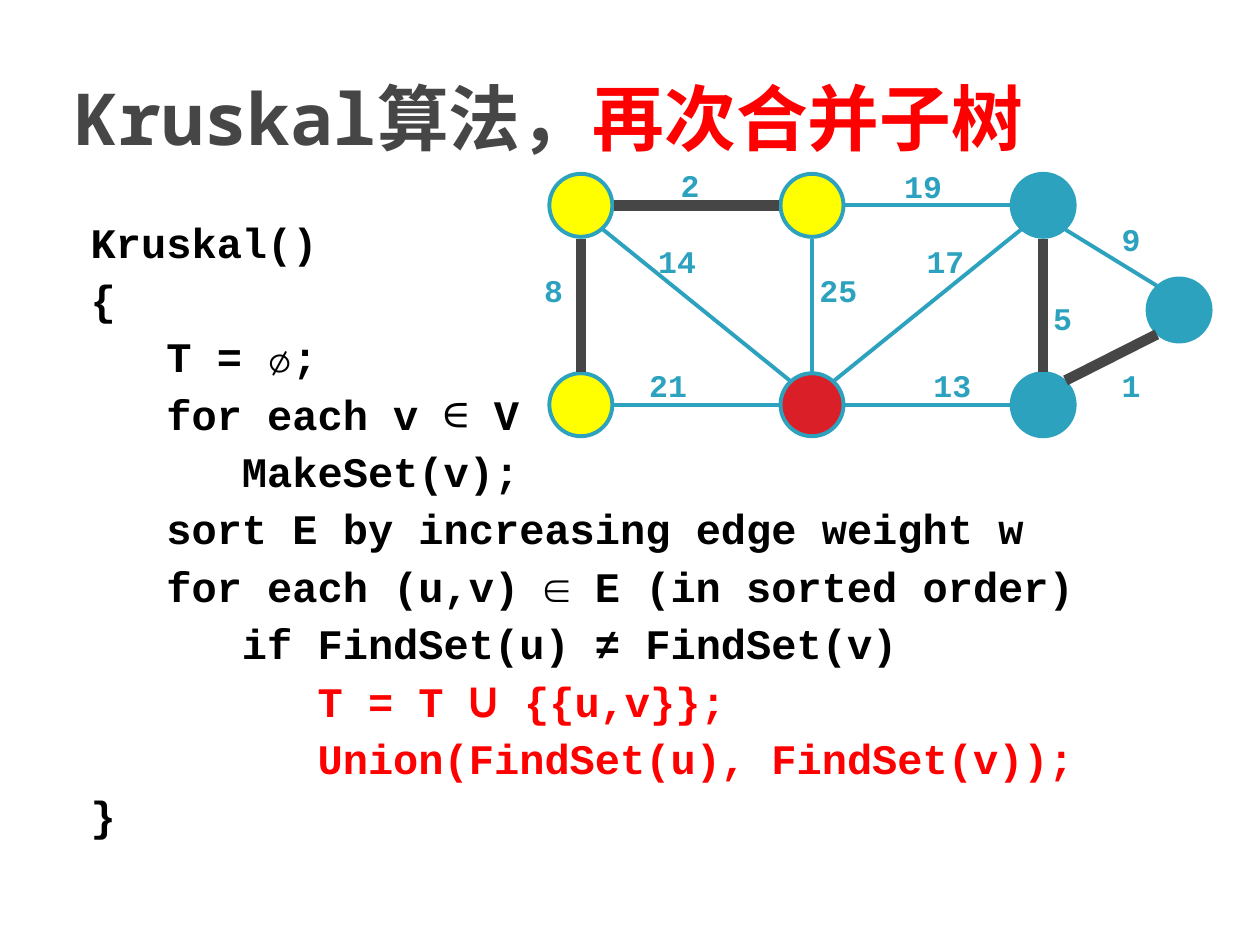
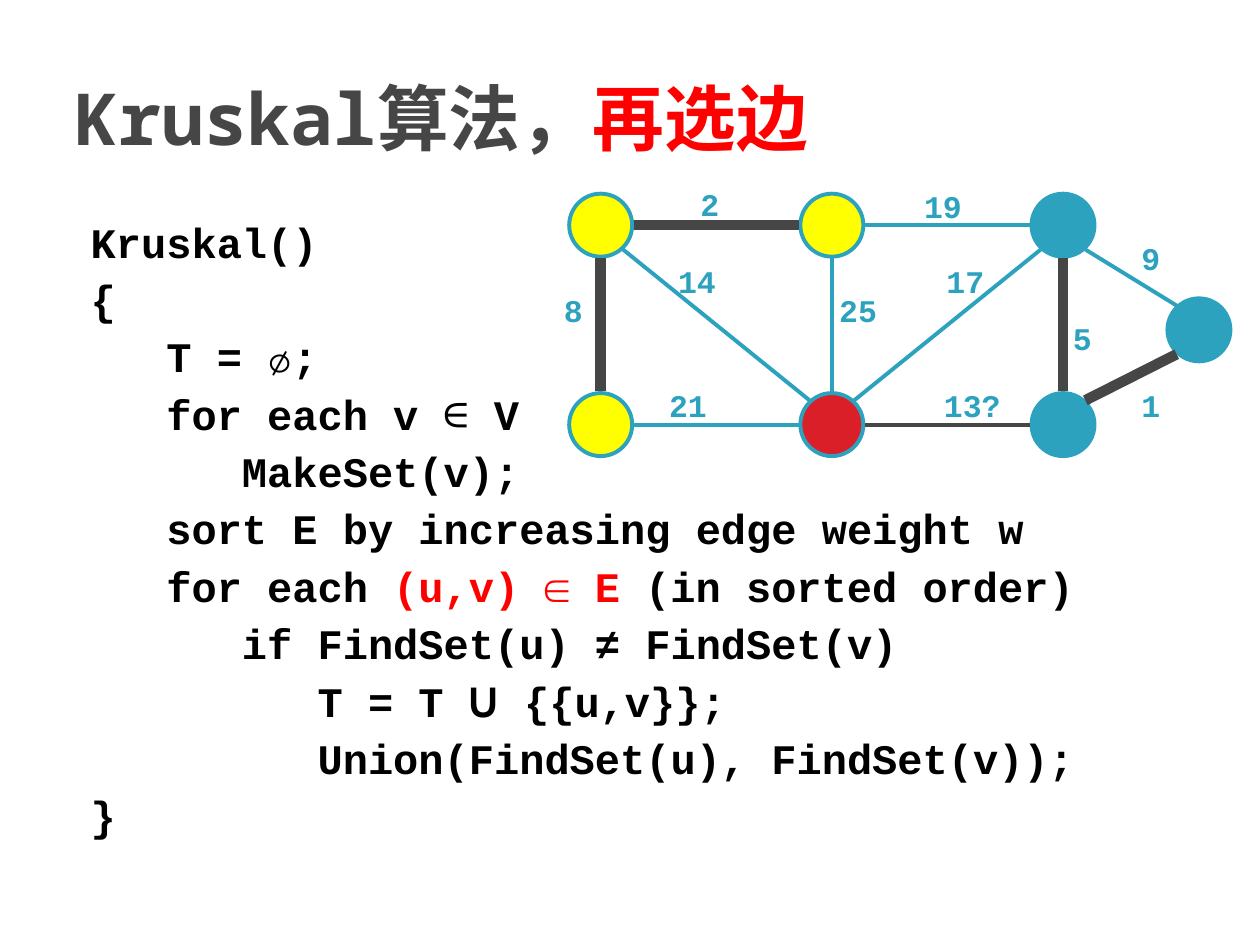
from pptx import Presentation
from pptx.dml.color import RGBColor
from pptx.enum.shapes import MSO_CONNECTOR, MSO_SHAPE
from pptx.enum.text import MSO_ANCHOR, MSO_AUTO_SIZE, PP_ALIGN
from pptx.oxml.ns import qn
from pptx.util import Cm, Pt
from lxml.etree import SubElement

BLACK = RGBColor(0x00, 0x00, 0x00)
RED = RGBColor(0xFF, 0x00, 0x00)
GREY = RGBColor(0x46, 0x46, 0x46)
TEAL = RGBColor(0x2D, 0xA2, 0xBF)
GOLD = RGBColor(0xFF, 0xFF, 0x00)
ROSE = RGBColor(0xDA, 0x1F, 0x28)

CODE = "Courier New"
MONO = "Noto Sans Mono"
UNION = "Cabin"
THIN, THICK = 2.25, 6

# Graph geometry in cm, before the shift of a slide
SIZE = 1.27
COLS = [11.71 + 4.66 * i for i in range(3)]
TOP, LOW = 4.14, 8.16
GAP = 0.67            # node centre to the end of a level or upright edge
SLANT = (0.45, 0.49)  # the same for a slanted edge

NODES = {
    "a": (COLS[0], TOP, GOLD),
    "b": (COLS[1], TOP, GOLD),
    "c": (COLS[2], TOP, TEAL),
    "d": (COLS[2], LOW, TEAL),
    "e": (23.77, 6.25, TEAL),
    "f": (COLS[1], LOW, ROSE),
    "g": (COLS[0], LOW, GOLD),
}
# Edge: two nodes, weight, centre of the weight label
EDGES = [
    ("a", "b", "2", 13.91, 3.72),
    ("b", "c", "19", 18.61, 3.75),
    ("c", "f", "17", 19.06, 5.27),
    ("f", "g", "21", 13.47, 7.76),
    ("g", "a", "8", 11.16, 5.85),
    ("a", "f", "14", 13.65, 5.27),
    ("f", "b", "25", 16.9, 5.85),
    ("f", "d", "13", 19.2, 7.76),
    ("d", "c", "5", 21.42, 6.41),
    ("c", "e", "9", 22.8, 4.81),
    ("d", "e", "1", 22.8, 7.76),
]
TREE = {"1", "2", "5", "8"}


def add_run(para, text, size, color, font=CODE, bold=True):
    run = para.add_run()
    run.text = text
    run.font.size = Pt(size)
    run.font.name = font
    run.font.bold = bold
    run.font.color.rgb = color


def add_title(slide, lead, topic):
    title = slide.shapes.title
    title.left, title.top = Cm(1.27), Cm(0.76)
    title.width, title.height = Cm(22.86), Cm(3.18)
    frame = title.text_frame
    frame.auto_size = MSO_AUTO_SIZE.NONE
    frame.vertical_anchor = MSO_ANCHOR.MIDDLE
    para = frame.paragraphs[0]
    para.alignment = PP_ALIGN.LEFT
    add_run(para, lead, 41, GREY, MONO)
    add_run(para, topic, 41, RED, MONO)


def add_code(slide, pick, merge):
    """pick colours the chosen edge, merge the two lines that join trees."""
    lines = [
        [("Kruskal()", BLACK)],
        [("{", BLACK)],
        [("   T = ∅;", BLACK)],
        [("   for each v ", BLACK), ("∈", BLACK, MONO, False), (" V", BLACK)],
        [("      MakeSet(v);", BLACK)],
        [("   sort E by increasing edge weight w", BLACK)],
        [("   for each ", BLACK), ("(u,v) ∈ E ", pick),
         ("(in sorted order)", BLACK)],
        [("      if FindSet(u) ≠ FindSet(v)", BLACK)],
        [("         T = T ", merge), ("U", merge, UNION),
         (" {{u,v}};", merge)],
        [("         Union(FindSet(u), FindSet(v));", merge)],
        [("}", BLACK)],
    ]
    box = slide.shapes.add_textbox(Cm(1.27), Cm(4.23), Cm(22.86), Cm(12.57))
    frame = box.text_frame
    frame.word_wrap = True
    frame.margin_left = Cm(0.56)
    for i, line in enumerate(lines):
        para = frame.add_paragraph() if i else frame.paragraphs[0]
        para.line_spacing = Pt(28.8)
        if i:
            para.space_before = Pt(4)
        for text, color, *style in line:
            add_run(para, text, 24, color, *style)


def add_node(slide, x, y, fill):
    dot = slide.shapes.add_shape(MSO_SHAPE.OVAL, Cm(x - SIZE / 2),
                                 Cm(y - SIZE / 2), Cm(SIZE), Cm(SIZE))
    dot.shadow.inherit = False
    dot.fill.solid()
    dot.fill.fore_color.rgb = fill
    dot.line.color.rgb = TEAL
    dot.line.width = Pt(THIN)


def sign(num):
    return (num > 0) - (num < 0)


def add_edge(slide, start, end, color, width):
    (x1, y1), (x2, y2) = start, end
    h, v = sign(x2 - x1), sign(y2 - y1)
    dx, dy = SLANT if h and v else (GAP, GAP)
    line = slide.shapes.add_connector(
        MSO_CONNECTOR.STRAIGHT, Cm(x1 + h * dx), Cm(y1 + v * dy),
        Cm(x2 - h * dx), Cm(y2 - v * dy))
    line.line.color.rgb = color
    line.line.width = Pt(width)
    SubElement(line._element.spPr, qn("a:effectLst"))


def add_label(slide, text, x, y):
    wide, high = 0.51 + 0.42 * len(text), 1.09
    box = slide.shapes.add_textbox(Cm(x - wide / 2), Cm(y - high / 2),
                                   Cm(wide), Cm(high))
    frame = box.text_frame
    frame.word_wrap = False
    frame.vertical_anchor = MSO_ANCHOR.MIDDLE
    para = frame.paragraphs[0]
    para.alignment = PP_ALIGN.CENTER
    para.line_spacing = Pt(21.6)
    add_run(para, text, 18, TEAL)


def add_graph(slide, shift, asked):
    """asked is the weight of the edge under test, if any."""
    spots = {}
    for name, (x, y, fill) in NODES.items():
        spots[name] = (x + shift, y + shift)
        add_node(slide, *spots[name], fill)
    for start, end, weight, *_ in EDGES:
        color = GREY if weight in TREE or weight == asked else TEAL
        width = THICK if weight in TREE else THIN
        add_edge(slide, spots[start], spots[end], color, width)
    for _, _, weight, x, y in EDGES:
        text = weight + "?" if weight == asked else weight
        add_label(slide, text, x + shift, y + shift)


def main():
    deck = Presentation()
    deck.slide_width, deck.slide_height = Cm(25.4), Cm(19.05)
    # Topic, colour of the picked edge, colour of the merge, shift, asked edge
    steps = [
        ("再次合并子树", BLACK, RED, 0, None),
        ("再选边", RED, BLACK, 0.4, "13"),
    ]
    for topic, pick, merge, shift, asked in steps:
        slide = deck.slides.add_slide(deck.slide_layouts[5])
        add_title(slide, "Kruskal算法，", topic)
        add_code(slide, pick, merge)
        add_graph(slide, shift, asked)
    deck.save("out.pptx")


if __name__ == "__main__":
    main()
